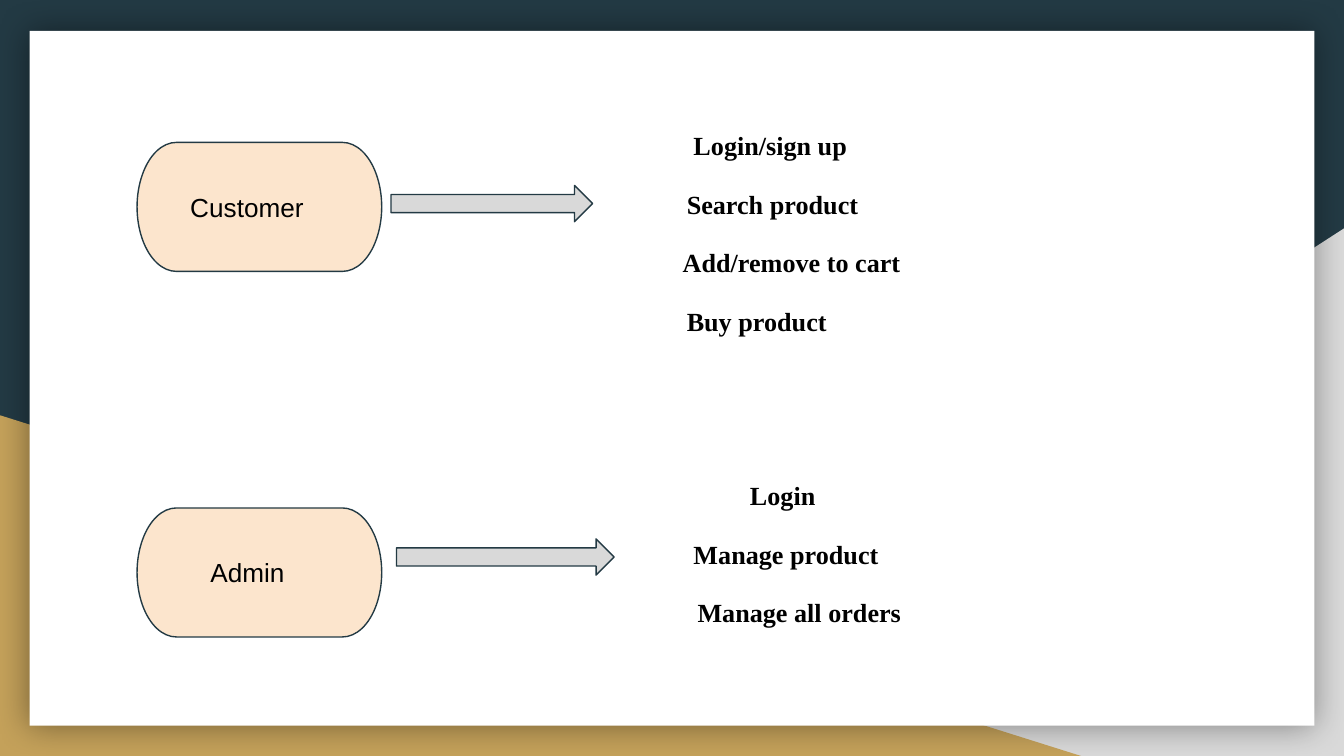
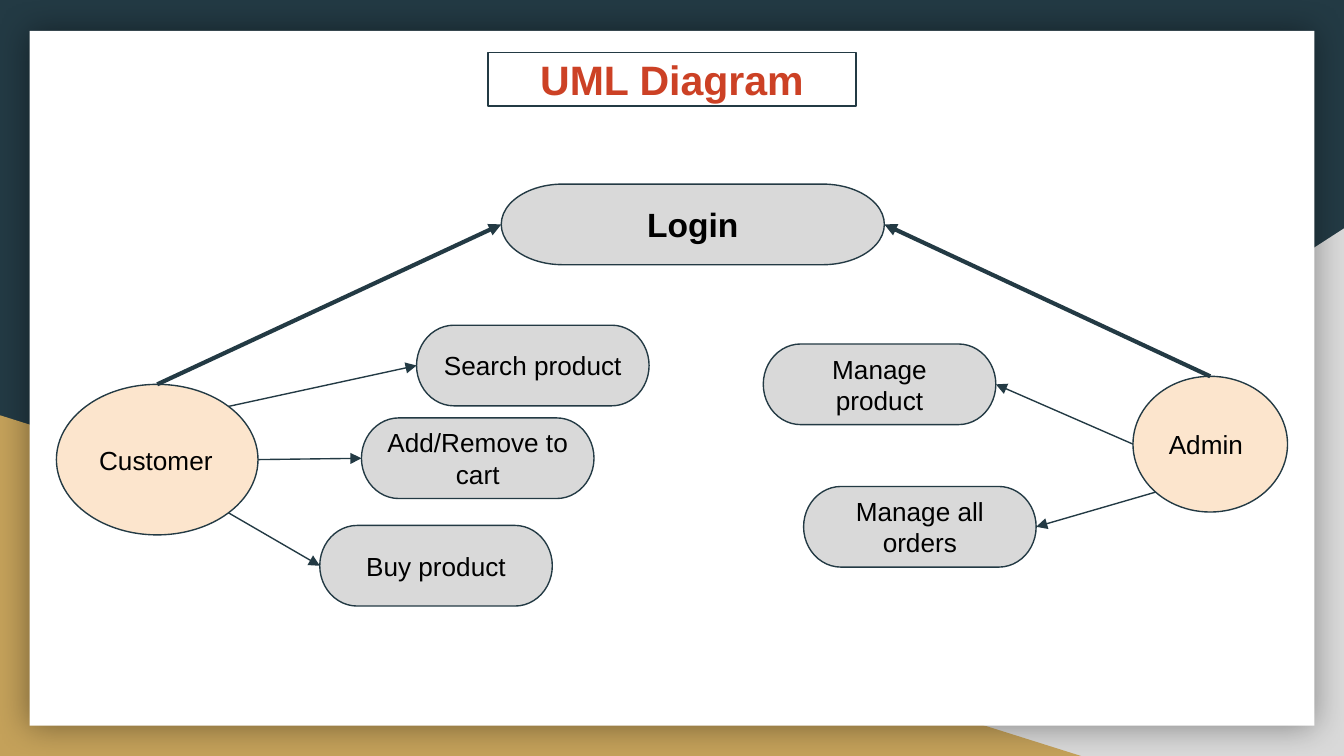
"""Build two slides: the roles of a shop system and their UML diagram."""
from math import cos, radians, sin

from lxml.etree import SubElement
from pptx import Presentation
from pptx.dml.color import RGBColor
from pptx.enum.shapes import MSO_CONNECTOR, MSO_SHAPE as Preset
from pptx.enum.text import MSO_ANCHOR as Anchor, MSO_AUTO_SIZE as AutoSize, PP_ALIGN as Align
from pptx.oxml.ns import qn
from pptx.util import Emu, Inches, Pt

WIDTH, HEIGHT = 10, 5.625
NAVY, GREY, GOLD, WHITE = "233A44", "D9D9D9", "C4A15A", "FFFFFF"
PEACH, BLACK, RED = "FCE5CD", "000000", "CC4125"
MARGIN = 0.1
BODY_BOX = (0.41, 0.83, 9.32, 4.4)
TITLE_BOX = ((WIDTH - 2.74) / 2, 0.39, 2.74, 0.4)
ROLE_SIZE = (1.82, 0.96)
ROLE_LEFT = 1.02
LINE_PITCH = 31.2
SPACE_BEFORE = 12

ROLES = [
    dict(name="Customer", top=1.06, inset=0.31, arrow=(2.91, 1.38, 1.5, 0.27),
         tasks=[("Login/sign up", 5.16), ("Search product", 5.11),
                ("Add/remove to cart", 5.08), ("Buy product", 5.11)]),
    dict(name="Admin", top=3.78, inset=0.46, arrow=(2.95, 4.01, 1.62, 0.27),
         tasks=[("Login", 5.58), ("Manage product", 5.16), ("Manage all orders", 5.19)]),
]

TITLE = "UML Diagram"
LOGIN = "Login"
LOGIN_BOX = (3.73, 1.37, 2.85, 0.6)
ACTION_SIZE = (1.73, 0.6)
ACTIONS = {
    "Search product": (3.1, 2.42),
    "Add/Remove to cart": (2.69, 3.11),
    "Buy product": (2.38, 3.91),
    "Manage product": (5.68, 2.56),
    "Manage all orders": (5.98, 3.62),
}
ACTORS = {"Admin": (8.43, 2.8, 1.15, 1.01), "Customer": (0.42, 2.86, 1.5, 1.12)}
LEFT_SIDE, RIGHT_SIDE = 1, 3
LINKS = [
    ("Customer", 7, "Search product", LEFT_SIDE, 0.75),
    ("Customer", 6, "Add/Remove to cart", LEFT_SIDE, 0.75),
    ("Customer", 5, "Buy product", LEFT_SIDE, 0.75),
    ("Admin", 2, "Manage product", RIGHT_SIDE, 0.75),
    ("Admin", 3, "Manage all orders", RIGHT_SIDE, 0.75),
    ("Customer", 0, LOGIN, LEFT_SIDE, 2.25),
    ("Admin", 0, LOGIN, RIGHT_SIDE, 2.25),
]


def rgb(color):
    return RGBColor.from_string(color)


def place(part, box):
    part.left, part.top, part.width, part.height = map(Inches, box)


def outline(part, color=NAVY, width=0.75):
    part.line.color.rgb = rgb(color)
    part.line.width = Pt(width)


def write(paragraph, text, size=14, font="Arial", color=BLACK, bold=False, align=Align.LEFT):
    run = paragraph.add_run()
    run.text = text
    run.font.size, run.font.name, run.font.bold = Pt(size), font, bold
    run.font.color.rgb = rgb(color)
    paragraph.alignment = align


def set_frame(part, anchor=Anchor.MIDDLE, inset=MARGIN):
    frame = part.text_frame
    frame.word_wrap, frame.auto_size, frame.vertical_anchor = True, AutoSize.NONE, anchor
    frame.margin_left = Inches(inset)
    frame.margin_top = frame.margin_right = frame.margin_bottom = Inches(MARGIN)
    return frame


def add_part(slide, preset, box, fill, lined=True):
    part = slide.shapes.add_shape(preset, *map(Inches, box))
    part.shadow.inherit = False
    part.fill.solid()
    part.fill.fore_color.rgb = rgb(fill)
    if lined:
        outline(part)
    else:
        part.line.fill.background()
    return part


def add_node(slide, preset, box, fill, text, inset=MARGIN, **style):
    node = add_part(slide, preset, box, fill)
    write(set_frame(node, inset=inset).paragraphs[0], text, **style)
    return node


def decorate_master(master, slide):
    master.background.fill.solid()
    master.background.fill.fore_color.rgb = rgb(NAVY)
    grey_corner = add_part(slide, Preset.RIGHT_TRIANGLE, (3.92, 1.7, 6.08, 3.93), GREY, False)
    gold_corner = add_part(slide, Preset.RIGHT_TRIANGLE, (0, 3.09, 8.06, 2.54), GOLD, False)
    card = add_part(slide, Preset.RECTANGLE, (0.22, 0.23, 9.56, 5.17), WHITE, False)
    grey_corner.element.spPr.find(qn("a:xfrm")).set("flipH", "1")
    effects = card.element.spPr.find(qn("a:effectLst"))
    shadow = SubElement(effects, qn("a:outerShdw"), blurRad=str(Pt(18)), dist="0",
                        algn="ctr", rotWithShape="0")
    shade = SubElement(shadow, qn("a:srgbClr"), val=BLACK)
    SubElement(shade, qn("a:alpha"), val="40000")
    for order, part in enumerate((grey_corner, gold_corner, card)):
        part.element.nvSpPr.cNvPr.set("id", str(100 + order))
        master.shapes.element.insert(2 + order, part.element)


def add_link(slide, actor, site, target, side, width):
    angle = radians(90 + 45 * site)
    x = Emu(int(actor.left + actor.width * (1 + cos(angle)) / 2))
    y = Emu(int(actor.top + actor.height * (1 - sin(angle)) / 2))
    link = slide.shapes.add_connector(MSO_CONNECTOR.STRAIGHT, x, y, x, y)
    ends = link.element.find(".//" + qn("p:cNvCxnSpPr"))
    SubElement(ends, qn("a:stCxn"), id=str(actor.shape_id), idx=str(site))
    link.end_connect(target, side)
    outline(link, width=width)
    SubElement(link.line._get_or_add_ln(), qn("a:tailEnd"), type="triangle")
    SubElement(link.element.spPr, qn("a:effectLst"))


def fill_roles(slide):
    title, body = slide.placeholders
    title.element.getparent().remove(title.element)
    place(body, BODY_BOX)
    frame = set_frame(body, Anchor.TOP)
    paragraph = frame.paragraphs[0]
    for role in ROLES:
        for order, (task, left) in enumerate(role["tasks"]):
            new_group = role is not ROLES[0] and order == 0
            if role is not ROLES[0] or order:
                paragraph = frame.add_paragraph()
            write(paragraph, task, font="Times New Roman", bold=True)
            paragraph.line_spacing = 1.15
            paragraph.space_before = Pt(SPACE_BEFORE + 2 * LINE_PITCH * new_group)
            layout = paragraph._p.get_or_add_pPr()
            layout.set("marL", str(Inches(left - BODY_BOX[0] - MARGIN)))
            layout.set("indent", "0")
            SubElement(layout, qn("a:buNone"))
    for role in ROLES:
        add_node(slide, Preset.FLOWCHART_TERMINATOR, (ROLE_LEFT, role["top"], *ROLE_SIZE),
                 PEACH, role["name"], inset=role["inset"])
        add_part(slide, Preset.RIGHT_ARROW, role["arrow"], GREY)


def fill_diagram(slide):
    title, body = slide.placeholders
    body.element.getparent().remove(body.element)
    place(title, TITLE_BOX)
    title.fill.solid()
    title.fill.fore_color.rgb = rgb(WHITE)
    outline(title)
    write(set_frame(title).paragraphs[0], TITLE, size=22, color=RED, bold=True,
          align=Align.CENTER)
    nodes = {LOGIN: add_node(slide, Preset.FLOWCHART_TERMINATOR, LOGIN_BOX, GREY, LOGIN,
                             size=18, bold=True, align=Align.CENTER)}
    for action, corner in ACTIONS.items():
        nodes[action] = add_node(slide, Preset.FLOWCHART_TERMINATOR, (*corner, *ACTION_SIZE),
                                 GREY, action, align=Align.CENTER)
    for actor, box in ACTORS.items():
        nodes[actor] = add_node(slide, Preset.OVAL, box, PEACH, actor)
    for actor, site, target, side, width in LINKS:
        add_link(slide, nodes[actor], site, nodes[target], side, width)


def main():
    deck = Presentation()
    deck.slide_width, deck.slide_height = Inches(WIDTH), Inches(HEIGHT)
    roles, diagram = (deck.slides.add_slide(deck.slide_layouts[1]) for _ in range(2))
    decorate_master(deck.slide_master, roles)
    fill_roles(roles)
    fill_diagram(diagram)
    deck.save("out.pptx")


if __name__ == "__main__":
    main()
